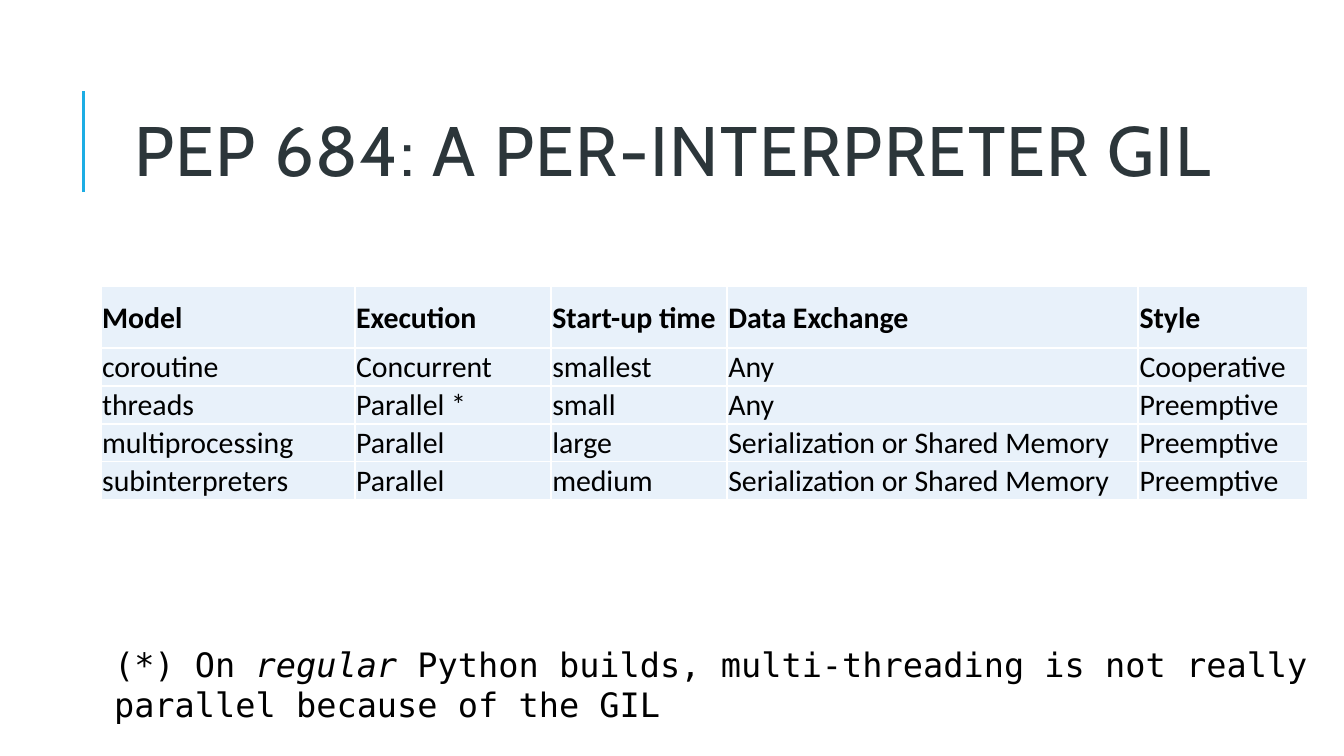
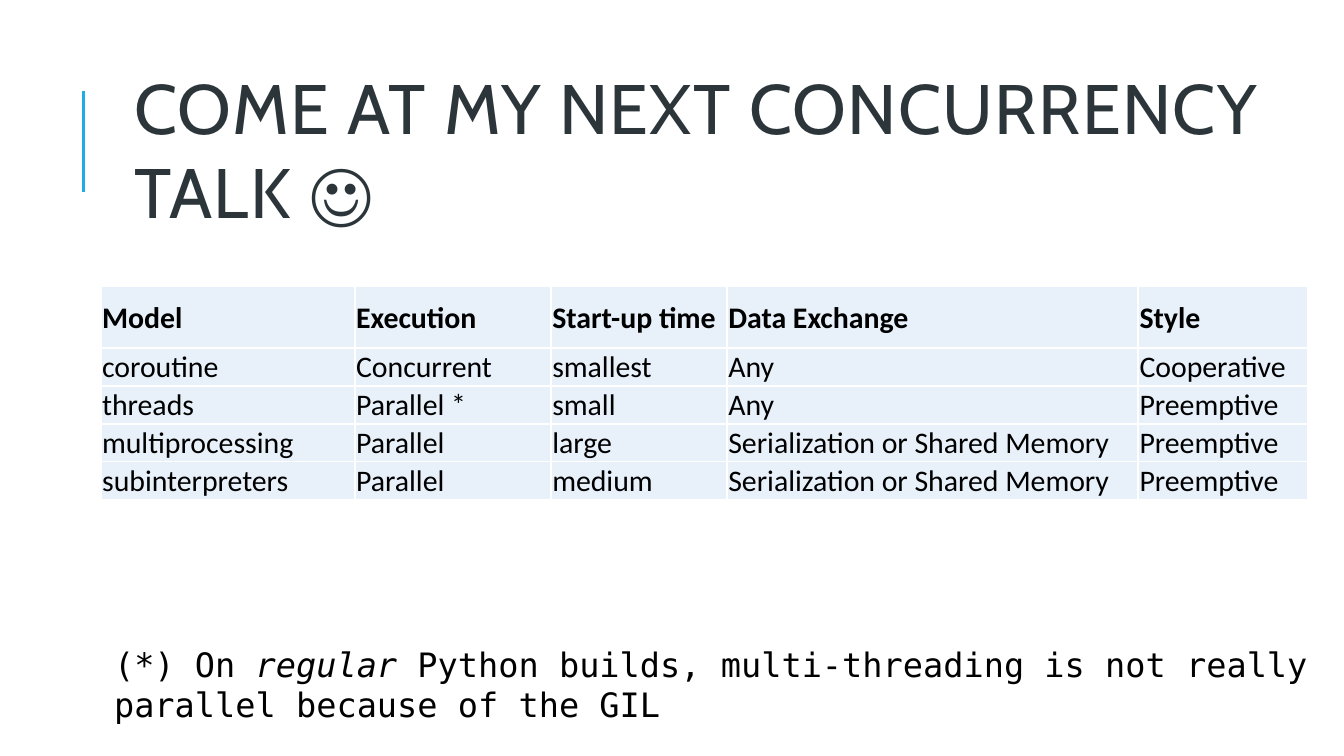
from lxml import etree
from pptx import Presentation
from pptx.dml.color import RGBColor
from pptx.enum import shapes, text
from pptx.oxml.ns import qn
from pptx.util import Inches, Pt

COLORS = {"accent": "1CADE4", "title": "2C363A", "text": "000000",
          "cell": "E8F1FA", "border": "FFFFFF"}
TITLE_FONT, TABLE_FONT, NOTE_FONT = "Cabin", "Calibri", "DejaVu Sans Mono"

SLIDE_WIDTH = Inches(10)
TITLE_BOX = (1, 0.75, 8.49, 0.71)
TABLE_BOX = (0.75, 2.13, 8.99, 1.56)
NOTE_BOX = (0.75, 4.74, 9.25, 0.4)

TITLES = ["PEP 684: A PER-INTERPRETER GIL",
          "COME AT MY NEXT CONCURRENCY TALK ☺"]
COLUMN_WIDTHS = [1.89, 1.46, 1.31, 3.06, 1.26]
HEADER_HEIGHT, ROW_HEIGHT = 0.46, 0.27
MODELS = [
    ["Model", "Execution", "Start-up time", "Data Exchange", "Style"],
    ["coroutine", "Concurrent", "smallest", "Any", "Cooperative"],
    ["threads", "Parallel *", "small", "Any", "Preemptive"],
    ["multiprocessing", "Parallel", "large", "Serialization or Shared Memory", "Preemptive"],
    ["subinterpreters", "Parallel", "medium", "Serialization or Shared Memory", "Preemptive"],
]


def rgb(name):
    return RGBColor.from_string(COLORS[name])


def add_run(p, content, size, font, color="text", bold=False, italic=False, spacing=None):
    r = p.add_run()
    r.text = content
    r.font.size, r.font.name = Pt(size), font
    r.font.bold, r.font.italic = bold, italic
    r.font.color.rgb = rgb(color)
    if spacing:
        r._r.get_or_add_rPr().set("spc", str(round(spacing * 100)))


def set_borders(cell):
    tcPr = cell._tc.get_or_add_tcPr()
    for side in ("lnL", "lnR", "lnT", "lnB"):
        ln = etree.SubElement(tcPr, qn(f"a:{side}"), w=str(Pt(1)))
        fill = etree.SubElement(ln, qn("a:solidFill"))
        etree.SubElement(fill, qn("a:srgbClr"), val=COLORS["border"])


def add_title(s, box, title):
    x, y, w, h = box
    sp = s.shapes.title
    sp.left, sp.top, sp.width, sp.height = map(Inches, box)
    tf = sp.text_frame
    tf.word_wrap, tf.auto_size = True, text.MSO_AUTO_SIZE.NONE
    tf.vertical_anchor = text.MSO_ANCHOR.MIDDLE
    tf.margin_left = tf.margin_right = tf.margin_top = tf.margin_bottom = 0
    p = tf.paragraphs[0]
    p.alignment = text.PP_ALIGN.LEFT
    add_run(p, title, 37.5, TITLE_FONT, "title", spacing=0.75)

    # Accent rule left of the title
    rule_x = Inches(x - 0.38)
    rule = s.shapes.add_connector(shapes.MSO_CONNECTOR.STRAIGHT, rule_x, Inches(y + 0.68),
                                  rule_x, Inches(y - 0.07))
    rule.line.color.rgb, rule.line.width = rgb("accent"), Pt(1.5)
    etree.SubElement(rule._element.spPr, qn("a:effectLst"))


def add_model_table(s, box):
    table = s.shapes.add_table(len(MODELS), len(COLUMN_WIDTHS), *map(Inches, box)).table
    table.horz_banding = False
    for column, width in zip(table.columns, COLUMN_WIDTHS):
        column.width = Inches(width)
    for i, (row, values) in enumerate(zip(table.rows, MODELS)):
        header = i == 0
        row.height = Inches(HEADER_HEIGHT if header else ROW_HEIGHT)
        for cell, value in zip(row.cells, values):
            cell.margin_left = cell.margin_right = cell.margin_top = Inches(0.01)
            cell.margin_bottom = 0
            cell.vertical_anchor = text.MSO_ANCHOR.MIDDLE if header else text.MSO_ANCHOR.TOP
            set_borders(cell)
            cell.fill.solid()
            cell.fill.fore_color.rgb = rgb("cell")
            add_run(cell.text_frame.paragraphs[0], value, 16, TABLE_FONT, bold=header)


def add_note(s, box):
    tf = s.shapes.add_textbox(*map(Inches, box)).text_frame
    tf.word_wrap, tf.auto_size = True, text.MSO_AUTO_SIZE.SHAPE_TO_FIT_TEXT
    p = tf.paragraphs[0]
    add_run(p, "(*) On ", 18, NOTE_FONT)
    add_run(p, "regular", 18, NOTE_FONT, italic=True)
    add_run(p, " Python builds, multi-threading is not really parallel because of the GIL",
            18, NOTE_FONT)


def add_comparison_slide(prs, title):
    s = prs.slides.add_slide(prs.slide_layouts.get_by_name("Title Only"))
    add_title(s, TITLE_BOX, title)
    add_model_table(s, TABLE_BOX)
    add_note(s, NOTE_BOX)


def main():
    prs = Presentation()
    # Widescreen 16:9
    prs.slide_width, prs.slide_height = SLIDE_WIDTH, SLIDE_WIDTH * 9 // 16
    for title in TITLES:
        add_comparison_slide(prs, title)
    prs.save("out.pptx")


if __name__ == "__main__":
    main()
